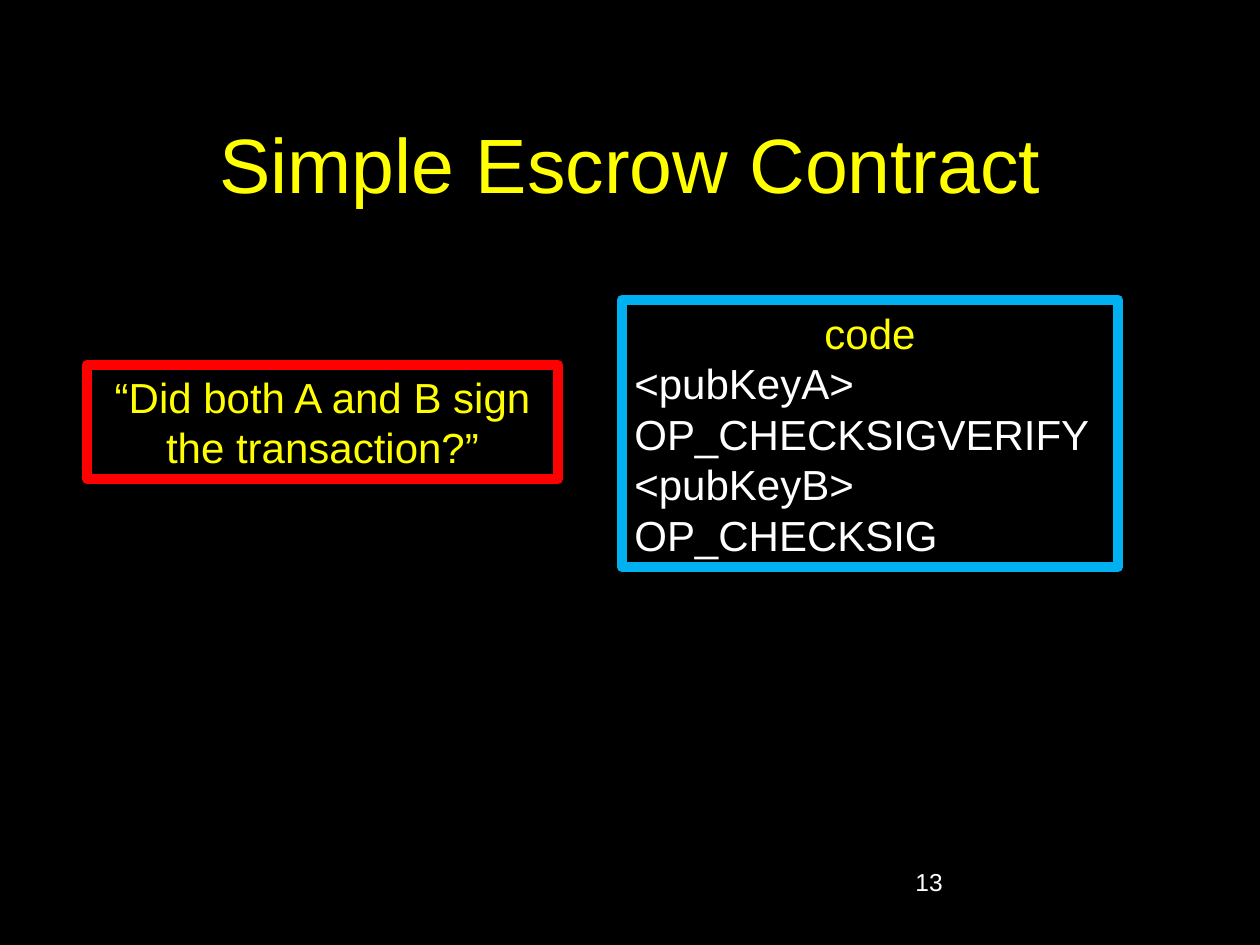
import pptx
import pptx.dml.color
import pptx.enum.shapes
import pptx.enum.text
import pptx.oxml
import pptx.oxml.ns
import pptx.util

EMU_PER_PX = 914400 // 126
ALIGN = pptx.enum.text.PP_ALIGN
ANCHOR = pptx.enum.text.MSO_ANCHOR
YELLOW, WHITE, BLACK = "FFFF00", "FFFFFF", "000000"
RED, BLUE = "FF0000", "00B0F0"


def px(length):
    return pptx.util.Emu(length * EMU_PER_PX)


def color(value):
    return pptx.dml.color.RGBColor.from_string(value)


def write(frame, text, size=24, fill=WHITE, align=ALIGN.LEFT):
    """Fill the frame's empty first paragraph, or add one after it."""
    para = frame.paragraphs[-1]
    if para.runs:
        para = frame.add_paragraph()
    para.alignment = align
    span = para.add_run()
    span.text = text
    span.font.name = "Arial"
    span.font.size = pptx.util.Pt(size)
    span.font.color.rgb = color(fill)


def add_label(page, box, text, anchor=ANCHOR.TOP, **style):
    frame = page.shapes.add_textbox(*map(px, box)).text_frame
    frame.word_wrap = True
    frame.vertical_anchor = anchor
    write(frame, text, **style)


def add_panel(page, box, border, heading, lines=(), wrap=True):
    """Add a thick-bordered panel with a centred heading above plain lines."""
    panel = page.shapes.add_shape(
        pptx.enum.shapes.MSO_SHAPE.RECTANGLE, *map(px, box))
    panel.shadow.inherit = False
    panel.fill.solid()
    panel.fill.fore_color.rgb = color(BLACK)
    panel.line.color.rgb = color(border)
    panel.line.width = pptx.util.Pt(6)
    outline = panel.line._get_or_add_ln()
    outline.append(pptx.oxml.parse_xml(
        f"<a:round {pptx.oxml.ns.nsdecls('a')}/>"))

    frame = panel.text_frame
    frame.word_wrap = wrap
    frame.auto_size = pptx.enum.text.MSO_AUTO_SIZE.SHAPE_TO_FIT_TEXT
    frame.vertical_anchor = ANCHOR.MIDDLE
    write(frame, heading, fill=YELLOW, align=ALIGN.CENTER)
    for line in lines:
        write(frame, line)


def build_contract_slide(page):
    page.background.fill.solid()
    page.background.fill.fore_color.rgb = color(BLACK)
    add_label(page, (95, 84, 1071, 158), "Simple Escrow Contract",
              anchor=ANCHOR.MIDDLE, size=44, fill=YELLOW, align=ALIGN.CENTER)
    add_label(page, (903, 861, 262, 63), "13", size=14)
    add_panel(page, (622, 300, 496, 267), BLUE, "code",
              ("<pubKeyA>", "OP_CHECKSIGVERIFY", "<pubKeyB>", "OP_CHECKSIG"),
              wrap=False)
    add_panel(page, (87, 365, 471, 114), RED,
              "“Did both A and B sign the transaction?”")


def main():
    deck = pptx.Presentation()
    deck.slide_width = px(1260)
    deck.slide_height = px(945)
    build_contract_slide(deck.slides.add_slide(deck.slide_layouts[6]))
    deck.save("out.pptx")


if __name__ == "__main__":
    main()
